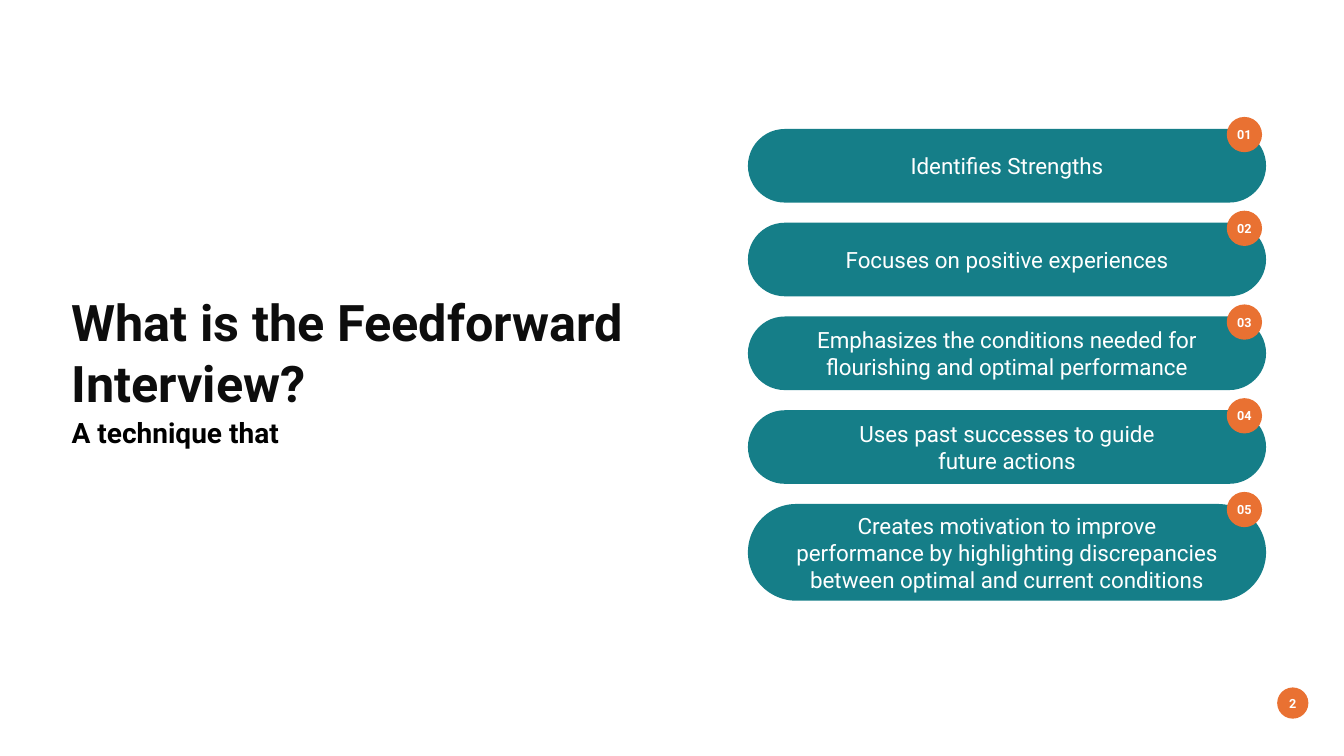
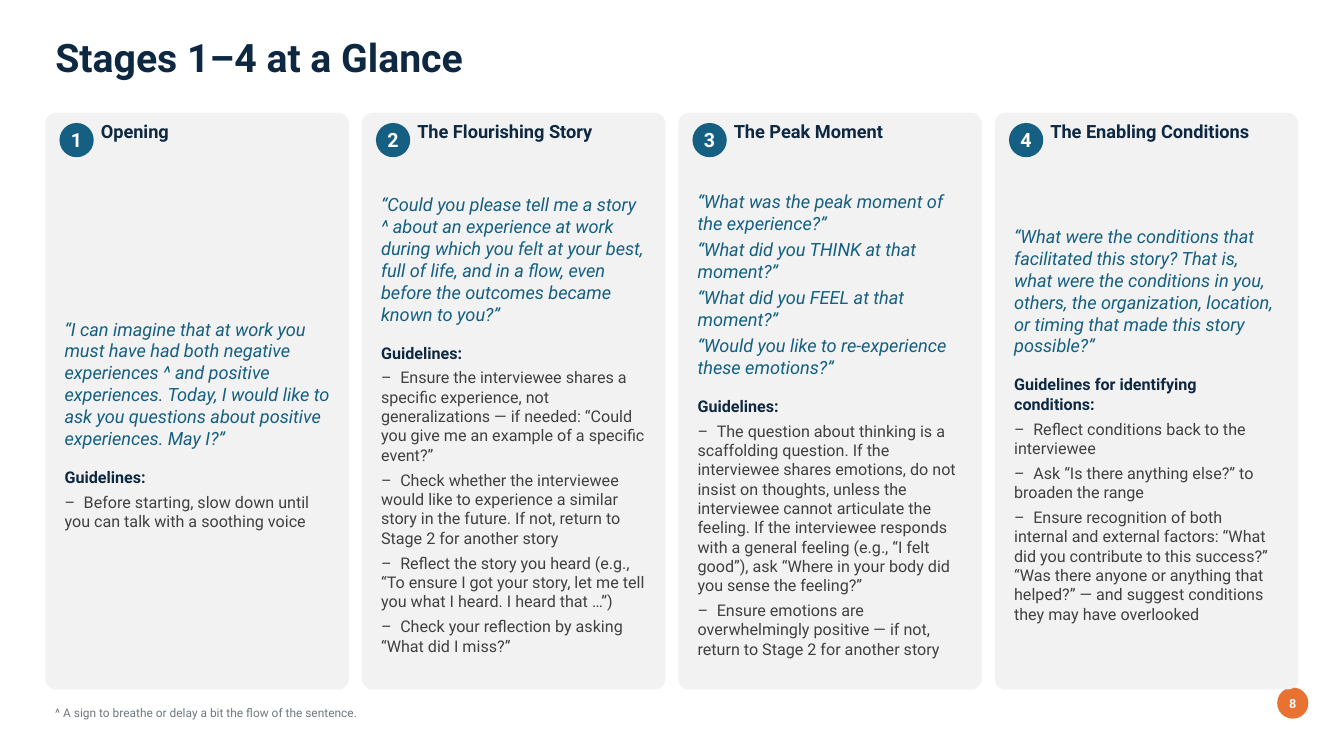
from dataclasses import dataclass

from lxml import etree
from pptx import Presentation
from pptx import util as u
from pptx.dml.color import RGBColor
from pptx.enum import shapes, text
from pptx.oxml.ns import qn

# Grid: square cells of a tenth of an inch
CELL = u.Inches(0.1)
COLUMNS, ROWS = 133.33, 75

FONT = "Roboto"
WHITE, BLACK, INK, NAVY = "FFFFFF", "000000", "0D0D0D", "0E2841"
TEAL, BLUE, ORANGE = "157E88", "156082", "E97132"
PANEL, BODY, MUTED = "F2F2F2", "404040", "6E787E"

ROUND, PILL = shapes.MSO_SHAPE.OVAL, shapes.MSO_SHAPE.ROUNDED_RECTANGLE
TOP, MIDDLE = text.MSO_ANCHOR.TOP, text.MSO_ANCHOR.MIDDLE
LEFT, CENTER = text.PP_ALIGN.LEFT, text.PP_ALIGN.CENTER
BOX_MARGINS = (1, 0.5, 1, 0.5)
NO_MARGINS = (0, 0, 0, 0)


@dataclass(frozen=True)
class Style:
    size: float
    color: str
    bold: bool = False
    italic: bool = False
    before: float = 0
    after: float = 0
    align: text.PP_ALIGN = LEFT
    tab: float = 0


OPENER = Style(36, INK, bold=True)
SUBTITLE = Style(20, BLACK, bold=True, before=2, after=2)
TITLE = Style(28, NAVY, bold=True)
PILL_TEXT = Style(16, WHITE, align=CENTER)
SMALL_NUMBER = Style(9, WHITE, bold=True, align=CENTER)
STAGE_NUMBER = Style(14, WHITE, bold=True, align=CENTER)
STAGE_NAME = Style(13, NAVY, bold=True)
QUESTION = Style(13, BLUE, italic=True, after=3)
GUIDE_HEAD = Style(11.5, NAVY, bold=True, before=10, after=4)
GUIDELINE = Style(11.5, BODY, after=4, tab=1.9)
FOOTNOTE = Style(8.5, MUTED)


def cells(count):
    return u.Emu(round(count * CELL))


def rgb(color):
    return RGBColor.from_string(color)


class Deck:
    def __init__(self):
        self.prs = Presentation()
        self.prs.slide_width, self.prs.slide_height = cells(COLUMNS), cells(ROWS)
        self.slide = None

    def new_slide(self, number, title_lines, left, top, width, height):
        """Start a slide with its title and page number."""
        self.slide = self.prs.slides.add_slide(self.prs.slide_layouts[5])
        title = self.slide.shapes.title
        title.left, title.top = cells(left), cells(top)
        title.width, title.height = cells(width), cells(height)
        self.set_lines(title, title_lines)
        self.badge(str(number), 126.7, 68.2, 3.1, ORANGE, SMALL_NUMBER)

    def set_lines(self, shape, lines, margins=BOX_MARGINS, anchor=TOP):
        """Fill a shape with (wording, style) paragraphs."""
        frame = shape.text_frame
        frame.word_wrap = True
        frame.auto_size = text.MSO_AUTO_SIZE.NONE
        frame.vertical_anchor = anchor
        (frame.margin_left, frame.margin_top,
         frame.margin_right, frame.margin_bottom) = map(cells, margins)
        frame.text = "\n".join(wording for wording, _ in lines)
        for paragraph, (_, style) in zip(frame.paragraphs, lines):
            self.style_paragraph(paragraph, style)

    def style_paragraph(self, paragraph, style):
        if style.tab:
            stops = etree.SubElement(paragraph._p.get_or_add_pPr(), qn("a:tabLst"))
            etree.SubElement(stops, qn("a:tab"), pos=str(cells(style.tab)), algn="l")
        paragraph.alignment = style.align
        paragraph.line_spacing = 1.0
        paragraph.space_before = u.Pt(style.before)
        paragraph.space_after = u.Pt(style.after)
        for run in paragraph.runs:
            font = run.font
            font.name, font.size = FONT, u.Pt(style.size)
            font.bold, font.italic = style.bold, style.italic
            font.color.rgb = rgb(style.color)

    def text_box(self, lines, left, top, width, height, margins=BOX_MARGINS):
        box = self.slide.shapes.add_textbox(*map(cells, (left, top, width, height)))
        self.set_lines(box, lines, margins)

    def panel(self, kind, lines, left, top, width, height, fill,
              margins=BOX_MARGINS, corner=None):
        """Draw a filled shape with vertically centred text."""
        shape = self.slide.shapes.add_shape(
            kind, *map(cells, (left, top, width, height)))
        shape.shadow.inherit = False
        shape.fill.solid()
        shape.fill.fore_color.rgb = rgb(fill)
        shape.line.fill.background()
        if corner is not None:
            shape.adjustments[0] = corner
        self.set_lines(shape, lines, margins, MIDDLE)

    def badge(self, label, left, top, size, fill, style):
        self.panel(ROUND, [(label, style)], left, top, size, size, fill, NO_MARGINS)

    def pill(self, lines, left, top, width, height):
        self.panel(PILL, [(line, PILL_TEXT) for line in lines],
                   left, top, width, height, TEAL, corner=0.5)

    def stage(self, number, name, questions, heading, guidelines, left):
        """Draw one stage card: questions, guidelines, number and name."""
        top = 11.2
        lines = [(question, QUESTION) for question in questions]
        lines.append((heading, GUIDE_HEAD))
        lines += [("–\t" + guideline, GUIDELINE) for guideline in guidelines]
        self.panel(PILL, lines, left, top, 30.1, 57.2, PANEL,
                   (1.6, 6.2, 1.6, 1.6), corner=0.035)
        self.badge(str(number), left + 1.4, top + 1, 3.4, BLUE, STAGE_NUMBER)
        self.text_box([(name, STAGE_NAME)], left + 5.5, top + 0.7, 23.6, 4.2,
                      (0, 0, 1, 0))


TRAITS = [
    ["Identifies Strengths"],
    ["Focuses on positive experiences"],
    ["Emphasizes the conditions needed for flourishing and optimal performance"],
    ["Uses past successes to guide", "future actions"],
    ["Creates motivation to improve",
     "performance by highlighting discrepancies between optimal and current "
     "conditions"],
]

STAGES = [
    ("Opening",
     ["“I can imagine that at work you must have had both negative experiences ^ "
      "and positive experiences. Today, I would like to ask you questions about "
      "positive experiences. May I?”"],
     "Guidelines:",
     ["Before starting, slow down until you can talk with a soothing voice"]),
    ("The Flourishing Story",
     ["“Could you please tell me a story ^ about an experience at work during "
      "which you felt at your best, full of life, and in a flow, even before the "
      "outcomes became known to you?”"],
     "Guidelines:",
     ["Ensure the interviewee shares a specific experience, not generalizations — "
      "if needed: “Could you give me an example of a specific event?”",
      "Check whether the interviewee would like to experience a similar story in "
      "the future. If not, return to Stage 2 for another story",
      "Reflect the story you heard (e.g., “To ensure I got your story, let me tell "
      "you what I heard. I heard that …”)",
      "Check your reflection by asking “What did I miss?”"]),
    ("The Peak Moment",
     ["“What was the peak moment of the experience?”",
      "“What did you THINK at that moment?”",
      "“What did you FEEL at that moment?”",
      "“Would you like to re-experience these emotions?”"],
     "Guidelines:",
     ["The question about thinking is a scaffolding question. If the interviewee "
      "shares emotions, do not insist on thoughts, unless the interviewee cannot "
      "articulate the feeling. If the interviewee responds with a general feeling "
      "(e.g., “I felt good”), ask “Where in your body did you sense the feeling?”",
      "Ensure emotions are overwhelmingly positive — if not, return to Stage 2 for "
      "another story"]),
    ("The Enabling Conditions",
     ["“What were the conditions that facilitated this story? That is, what were "
      "the conditions in you, others, the organization, location, or timing that "
      "made this story possible?”"],
     "Guidelines for identifying conditions:",
     ["Reflect conditions back to the interviewee",
      "Ask “Is there anything else?” to broaden the range",
      "Ensure recognition of both internal and external factors: “What did you "
      "contribute to this success?” “Was there anyone or anything that helped?” — "
      "and suggest conditions they may have overlooked"]),
]


def build_definition(deck):
    deck.new_slide(2, [("What is the Feedforward Interview?", OPENER),
                       ("A technique that", SUBTITLE)], 6.1, 28.4, 58.1, 16.8)
    first_top, pitch = 12.8, 9.3
    tops = [first_top + i * pitch for i in range(len(TRAITS))]
    for trait, top in zip(TRAITS, tops):
        # The last trait runs to three lines
        deck.pill(trait, 74.2, top, 51.4, 9.6 if top == tops[-1] else 7.3)
    for number, top in enumerate(tops, 1):
        deck.badge(f"{number:02}", 121.7, top - 1.2, 3.5, ORANGE, SMALL_NUMBER)


def build_stages(deck):
    margin, pitch = 4.5, 31.4
    deck.new_slide(8, [("Stages 1–4 at a Glance", TITLE)], margin, 2.8, 90, 7)
    for i, stage in enumerate(STAGES):
        deck.stage(i + 1, *stage, left=margin + i * pitch)
    deck.text_box(
        [("^ A sign to breathe or delay a bit the flow of the sentence.", FOOTNOTE)],
        margin, 69.5, 70, 3)


def main():
    deck = Deck()
    build_definition(deck)
    build_stages(deck)
    deck.prs.save("out.pptx")


if __name__ == "__main__":
    main()
